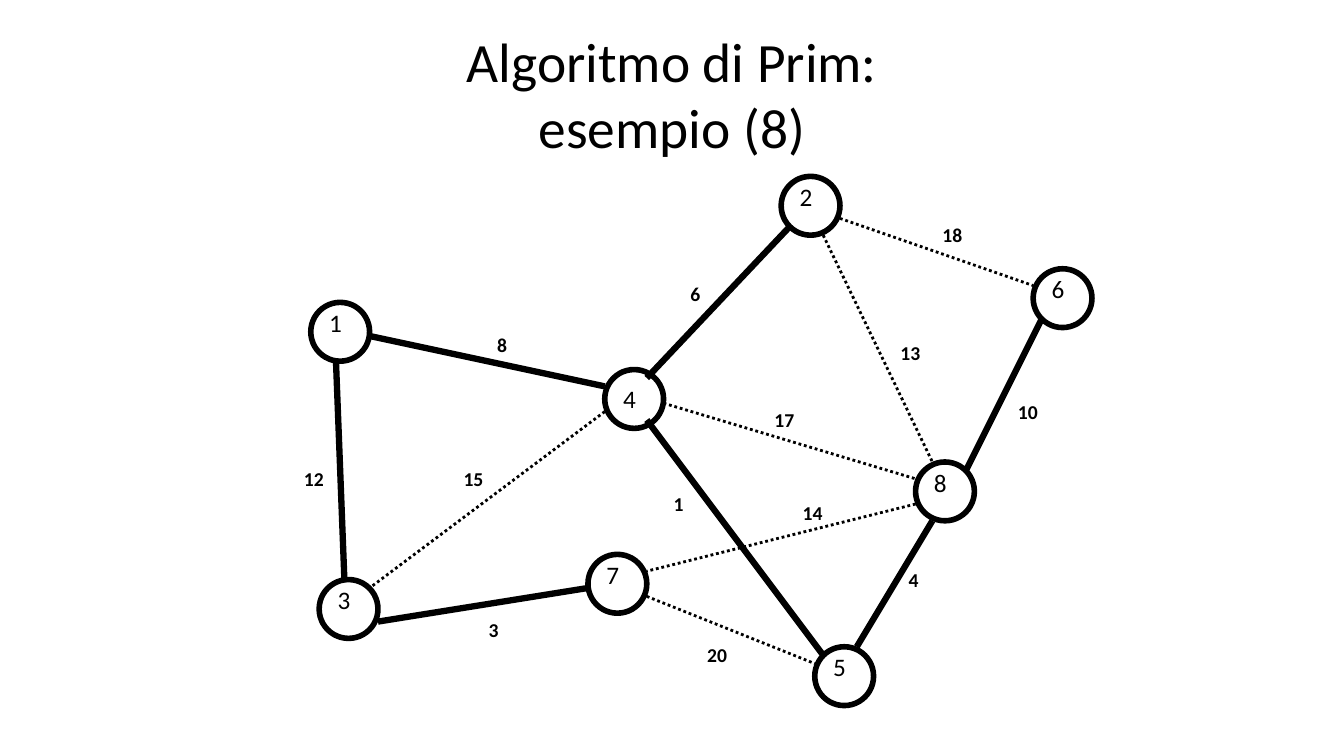
from pptx import Presentation
from pptx.dml.color import RGBColor
from pptx.enum.dml import MSO_LINE
from pptx.enum.shapes import MSO_CONNECTOR, MSO_SHAPE
from pptx.enum.text import MSO_ANCHOR, MSO_AUTO_SIZE, PP_ALIGN
from pptx.oxml.ns import qn
from pptx.util import Pt
from lxml.etree import SubElement

EMU_PER_PX = 9525  # 96 px to the inch
BLACK = RGBColor(0, 0, 0)
FONT = "Calibri"
NODE_SIZE = 56

# Node name: left, top of its circle
NODES = {
    "1": (296, 288), "2": (744, 168), "3": (304, 552), "4": (576, 352),
    "5": (776, 616), "6": (984, 256), "7": (560, 528), "8": (872, 440),
}

# Edges: start, end, weight, left and top of the weight
TREE_EDGES = [
    ((320, 344), (328, 552), "12", (280, 440)),
    ((352, 320), (576, 368), "8", (464, 312)),
    ((752, 216), (616, 360), "6", (648, 264)),
    ((616, 400), (784, 624), "1", (632, 464)),
    ((360, 592), (560, 560), "3", (456, 584)),
    ((920, 448), (992, 304), "10", (960, 376)),
    ((888, 496), (816, 616), "4", (856, 536)),
]
OTHER_EDGES = [
    ((576, 392), (352, 560), "15", (432, 440)),
    ((872, 480), (616, 544), "14", (755, 472)),
    ((800, 208), (984, 272), "18", (888, 208)),
    ((784, 224), (888, 440), "13", (848, 320)),
    ((632, 384), (872, 456), "17", (728, 384)),
    ((616, 568), (776, 632), "20", (664, 608)),
]


def px(*lengths):
    return [length * EMU_PER_PX for length in lengths]


def write(frame, text, size, bold=False, align=PP_ALIGN.LEFT):
    para = frame.paragraphs[0]
    para.alignment = align
    for index, line in enumerate(text.split("\n")):
        if index:
            para.add_line_break()
        span = para.add_run()
        span.text = line
        span.font.name = FONT
        span.font.size = Pt(size)
        span.font.bold = bold
        span.font.color.rgb = BLACK


def add_label(page, text, left, top, width, height, **style):
    box = page.shapes.add_textbox(*px(left, top, width, height))
    box.text_frame.word_wrap = False
    box.text_frame.auto_size = MSO_AUTO_SIZE.SHAPE_TO_FIT_TEXT
    write(box.text_frame, text, **style)


def add_title(page, text):
    title = page.shapes.title
    title.left, title.top, title.width, title.height = px(64, 29, 1152, 120)
    title.text_frame.auto_size = MSO_AUTO_SIZE.NONE
    title.text_frame.vertical_anchor = MSO_ANCHOR.MIDDLE
    write(title.text_frame, text, size=39.6, align=PP_ALIGN.CENTER)


def add_node(page, name, left, top):
    circle = page.shapes.add_shape(
        MSO_SHAPE.OVAL, *px(left, top, NODE_SIZE, NODE_SIZE))
    circle.shadow.inherit = False
    circle.fill.background()
    circle.line.color.rgb = BLACK
    circle.line.width = Pt(4)
    drop = 8 if name == "4" else 0  # this number sits a little lower
    add_label(page, name, left + 8, top + drop, 32, 38, size=18)


def add_edge(page, start, end, width, dash=None):
    edge = page.shapes.add_connector(
        MSO_CONNECTOR.STRAIGHT, *px(*start, *end))
    edge.line.color.rgb = BLACK
    edge.line.width = Pt(width)
    if dash:
        edge.line.dash_style = dash
    SubElement(edge._element.spPr, qn("a:effectLst"))


def add_weight(page, text, left, top):
    width = 38 if len(text) == 2 else 29
    add_label(page, text, left, top, width, 33, size=14, bold=True)


def main():
    deck = Presentation()
    deck.slide_width, deck.slide_height = px(1280, 720)
    page = deck.slides.add_slide(deck.slide_layouts[5])
    add_title(page, "Algoritmo di Prim:\nesempio (8)")

    # Graph nodes
    for name, corner in NODES.items():
        add_node(page, name, *corner)

    # Edges of the spanning tree are solid, the others dotted
    for start, end, _, _ in TREE_EDGES:
        add_edge(page, start, end, 4.5)
    for start, end, _, _ in OTHER_EDGES:
        add_edge(page, start, end, 2, MSO_LINE.ROUND_DOT)

    # Edge weights
    for _, _, weight, corner in TREE_EDGES + OTHER_EDGES:
        add_weight(page, weight, *corner)

    deck.save("out.pptx")


if __name__ == "__main__":
    main()
